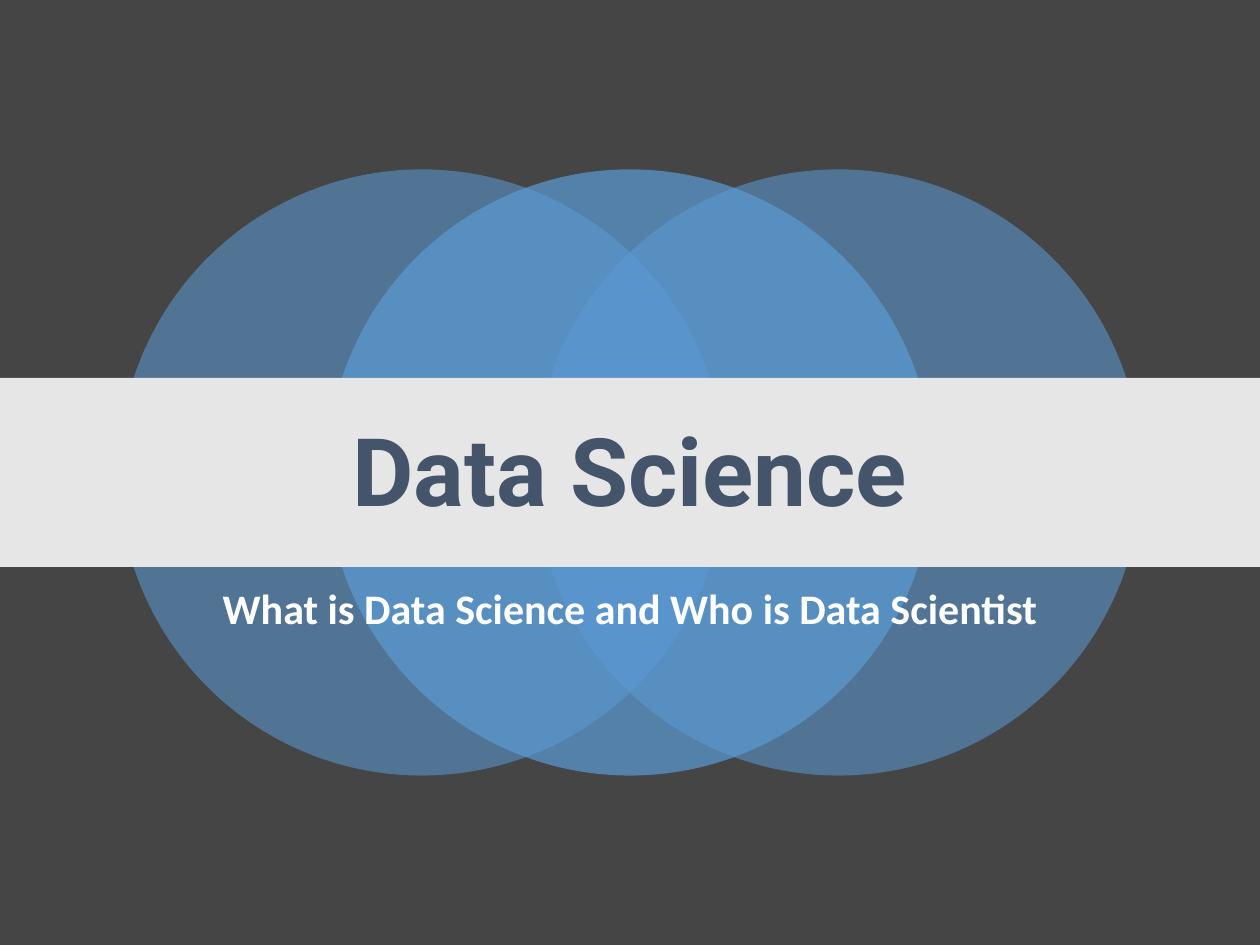
from lxml import etree
from pptx import Presentation
from pptx.dml.color import RGBColor
from pptx.enum import shapes, text
from pptx.oxml.ns import qn
from pptx.util import Cm, Pt

# Content
TITLE = "Data Science"
SUB = "What is Data Science and Who is Data Scientist"

# Colours
DARK = RGBColor(0x45, 0x45, 0x45)
BLUE = RGBColor(0x5B, 0x9B, 0xD5)
LIGHT = RGBColor(0xE7, 0xE6, 0xE6)
NAVY = RGBColor(0x44, 0x54, 0x6A)
WHITE = RGBColor(0xFF, 0xFF, 0xFF)

# Layout in cm
WIDE, HIGH = 25.4, 19.05
DISC, STEP = 12.22, 4.2
BAND = 3.81
TEXT = 19.05
RINGS = [(-1, 55), (1, 55), (0, 70)]  # steps from centre, opacity in percent


def add_form(home, kind, box, color, alpha=None):
    form = home.add_shape(kind, *map(Cm, box))
    form.shadow.inherit = False
    form.line.fill.background()
    form.fill.solid()
    form.fill.fore_color.rgb = color
    if alpha:
        tint = form.fill._xPr.find(".//" + qn("a:srgbClr"))
        etree.SubElement(tint, qn("a:alpha"), val=str(alpha * 1000))
    return form


def put_text(shape, words, box, font, size, color, anchor):
    shape.left, shape.top, shape.width, shape.height = map(Cm, box)
    frame = shape.text_frame
    frame.text = words
    frame.word_wrap = True
    frame.auto_size = text.MSO_AUTO_SIZE.NONE
    frame.vertical_anchor = anchor
    para = frame.paragraphs[0]
    para.alignment = text.PP_ALIGN.CENTER
    para.line_spacing = 0.9
    para.space_before = Pt(0)
    face = para.runs[0].font
    face.name, face.size, face.bold = font, Pt(size), True
    face.color.rgb = color
    # Bring the text in front of the shapes
    shape.element.getparent().append(shape.element)


def main():
    deck = Presentation()
    deck.slide_width, deck.slide_height = Cm(WIDE), Cm(HIGH)
    slide = deck.slides.add_slide(deck.slide_layouts[0])
    slide.background.fill.solid()
    slide.background.fill.fore_color.rgb = DARK

    # Overlapping discs
    group = slide.shapes.add_group_shape()
    for shift, alpha in RINGS:
        left = (WIDE - DISC) / 2 + shift * STEP
        box = (left, (HIGH - DISC) / 2, DISC, DISC)
        add_form(group.shapes, shapes.MSO_SHAPE.OVAL, box, BLUE, alpha)

    # Band across the middle
    box = (0, (HIGH - BAND) / 2, WIDE, BAND)
    add_form(slide.shapes, shapes.MSO_SHAPE.RECTANGLE, box, LIGHT)

    # Subtitle and title
    left = (WIDE - TEXT) / 2
    put_text(slide.placeholders[1], SUB, (left, 11.73, TEXT, 1.57),
             font="Calibri", size=24, color=WHITE,
             anchor=text.MSO_ANCHOR.TOP)
    put_text(slide.shapes.title, TITLE, (left, 8.15, TEXT, 2.87),
             font="Roboto", size=54, color=NAVY,
             anchor=text.MSO_ANCHOR.MIDDLE)

    deck.save("out.pptx")


if __name__ == "__main__":
    main()
